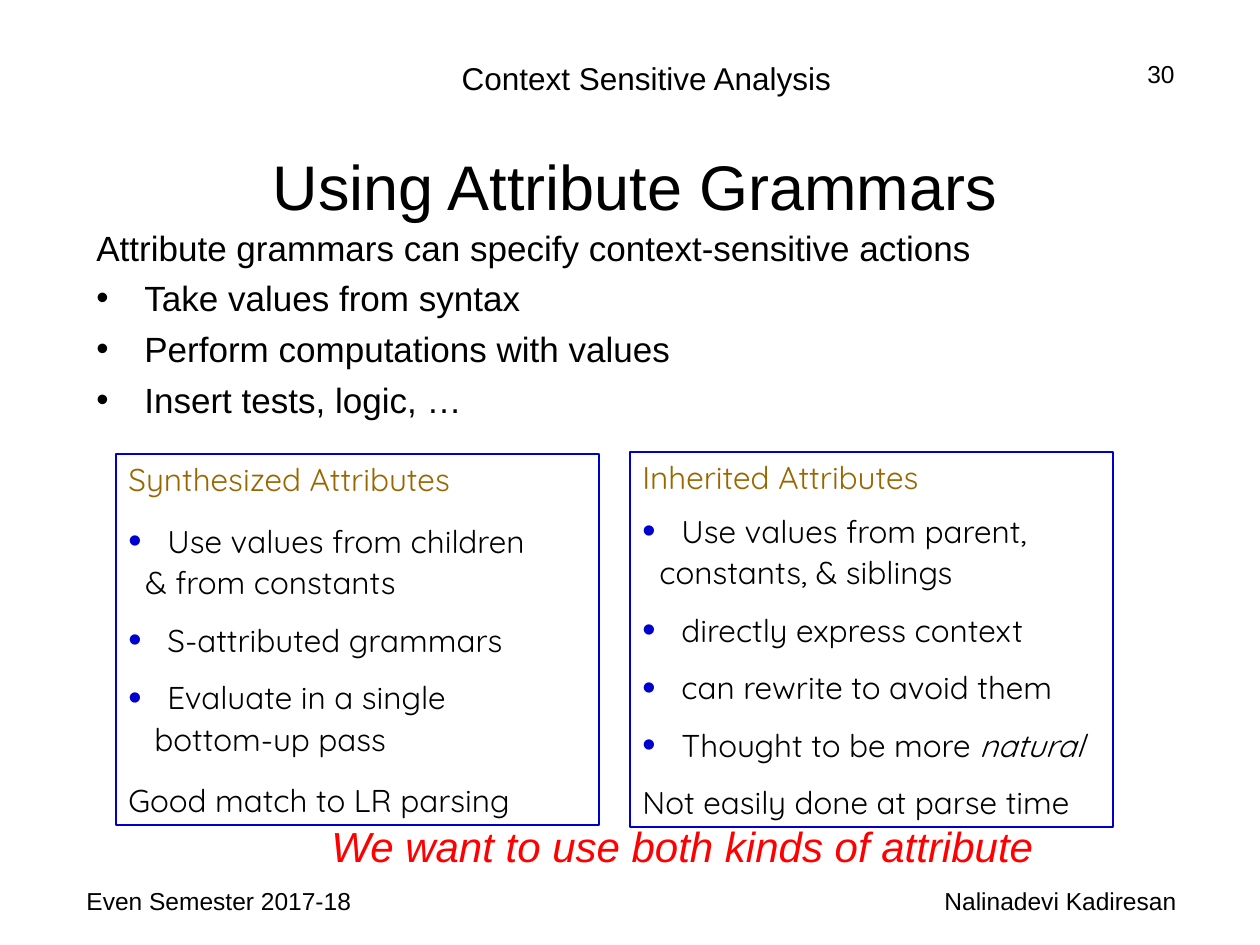
from lxml.etree import SubElement
from pptx import Presentation
from pptx.dml.color import RGBColor
from pptx.enum.shapes import MSO_SHAPE
from pptx.enum.text import MSO_ANCHOR, PP_ALIGN
from pptx.oxml.ns import qn
from pptx.util import Emu, Pt

BLACK, WHITE, BLUE, BROWN, RED = "000000", "FFFFFF", "0000CC", "996600", "FF0000"


def px(length):
    return Emu(round(length * 914400 / 126))


def color(value):
    return RGBColor.from_string(value)


def add_text(paragraph, text, size=14, font="Arial", fill=BLACK, italic=False):
    run = paragraph.add_run()
    run.text = text
    run.font.size = Pt(size)
    run.font.name = font
    run.font.color.rgb = color(fill)
    run.font.italic = italic


def indent(paragraph, left, bullet=None, scale=100):
    properties = paragraph._p.get_or_add_pPr()
    properties.set("marL", str(px(left)))
    properties.set("indent", str(-px(left) if bullet else 0))
    if bullet:
        SubElement(SubElement(properties, qn("a:buClr")), qn("a:srgbClr"), val=bullet)
        SubElement(properties, qn("a:buSzPct"), val=str(scale * 1000))
        SubElement(properties, qn("a:buFont"), typeface="Arial")
        SubElement(properties, qn("a:buChar"), char="•")


class SlideBuilder:
    def __init__(self, slide):
        self.slide = slide

    def label(self, text, left, top, width, height, align=PP_ALIGN.LEFT,
              anchor=MSO_ANCHOR.TOP, wrap=True, **style):
        frame = self.slide.shapes.add_textbox(*map(px, (left, top, width, height))).text_frame
        frame.word_wrap = wrap
        frame.vertical_anchor = anchor
        frame.paragraphs[0].alignment = align
        add_text(frame.paragraphs[0], text, **style)

    def panel(self, rows, left, top, width, height, fill=None, line=None,
              bullet=BLACK, scale=100, **style):
        panel = self.slide.shapes.add_shape(
            MSO_SHAPE.RECTANGLE, *map(px, (left, top, width, height)))
        panel.shadow.inherit = False
        if fill:
            panel.fill.solid()
            panel.fill.fore_color.rgb = color(fill)
        else:
            panel.fill.background()
        if line:
            panel.line.color.rgb = color(line)
            panel.line.width = Pt(1)
        else:
            panel.line.fill.background()
        frame = panel.text_frame
        frame.word_wrap = True
        frame.vertical_anchor = MSO_ANCHOR.TOP
        for number, (runs, before, left_indent, bulleted) in enumerate(rows):
            paragraph = frame.add_paragraph() if number else frame.paragraphs[0]
            indent(paragraph, left_indent, bullet if bulleted else None, scale)
            paragraph.alignment = PP_ALIGN.LEFT
            if number:
                paragraph.space_before = Pt(before)
            for text, emphasis in runs:
                add_text(paragraph, text, **{**style, **emphasis})


def plain(text, before=0, left=0, **emphasis):
    return [(text, emphasis)], before, left, False


def item(text, before=11.2, left=39, ending=""):
    runs = [(text, {})]
    if ending:
        runs.append((ending, {"italic": True}))
    return runs, before, left, True


def main():
    presentation = Presentation()
    presentation.slide_width, presentation.slide_height = px(1260), px(945)
    builder = SlideBuilder(presentation.slides.add_slide(presentation.slide_layouts[6]))

    builder.label("Context Sensitive Analysis", 179, 53, 935, 50,
                  align=PP_ALIGN.CENTER, size=18)
    actions = ["Take values from syntax", "Perform computations with values",
               "Insert tests, logic, …"]
    builder.panel(
        [plain("Attribute grammars can specify context-sensitive actions")]
        + [item(action, 5, 48) for action in actions],
        84, 220, 1071, 651, fill=WHITE, size=20)
    builder.label("Using Attribute Grammars", 136, 130, 998, 111,
                  align=PP_ALIGN.CENTER, anchor=MSO_ANCHOR.MIDDLE, size=36)

    synthesized = [
        plain("Synthesized Attributes", fill=BROWN),
        item("Use values from children", 13.5),
        plain("& from constants", 2.2, 17),
        item("S-attributed grammars"),
        item("Evaluate in a single"),
        plain("bottom-up pass", 2.2, 26),
        plain("Good match to LR parsing", 13.5),
    ]
    inherited = [
        plain("Inherited Attributes", fill=BROWN),
        item("Use values from parent,", 9),
        plain("constants, & siblings", 2.2, 17),
        item("directly express context"),
        item("can rewrite to avoid them"),
        item("Thought to be more ", ending="natural"),
        plain("Not easily done at parse time", 11.2),
    ]
    for rows, left, top, height in [(synthesized, 116, 454, 371), (inherited, 630, 452, 375)]:
        builder.panel(rows, left, top, 483, height, line=BLUE, bullet=BLUE,
                      scale=120, size=18, font="Quicksand")

    builder.label("Even Semester 2017-18", 74, 880, 293, 65)
    builder.label("30", 966, 53, 221, 65, align=PP_ALIGN.RIGHT)
    builder.label("Nalinadevi Kadiresan", 861, 880, 399, 65, align=PP_ALIGN.CENTER)
    builder.label("We want to use both kinds of attribute", 319, 814, 740, 113,
                  wrap=False, size=24, fill=RED, italic=True)
    presentation.save("out.pptx")


if __name__ == "__main__":
    main()
